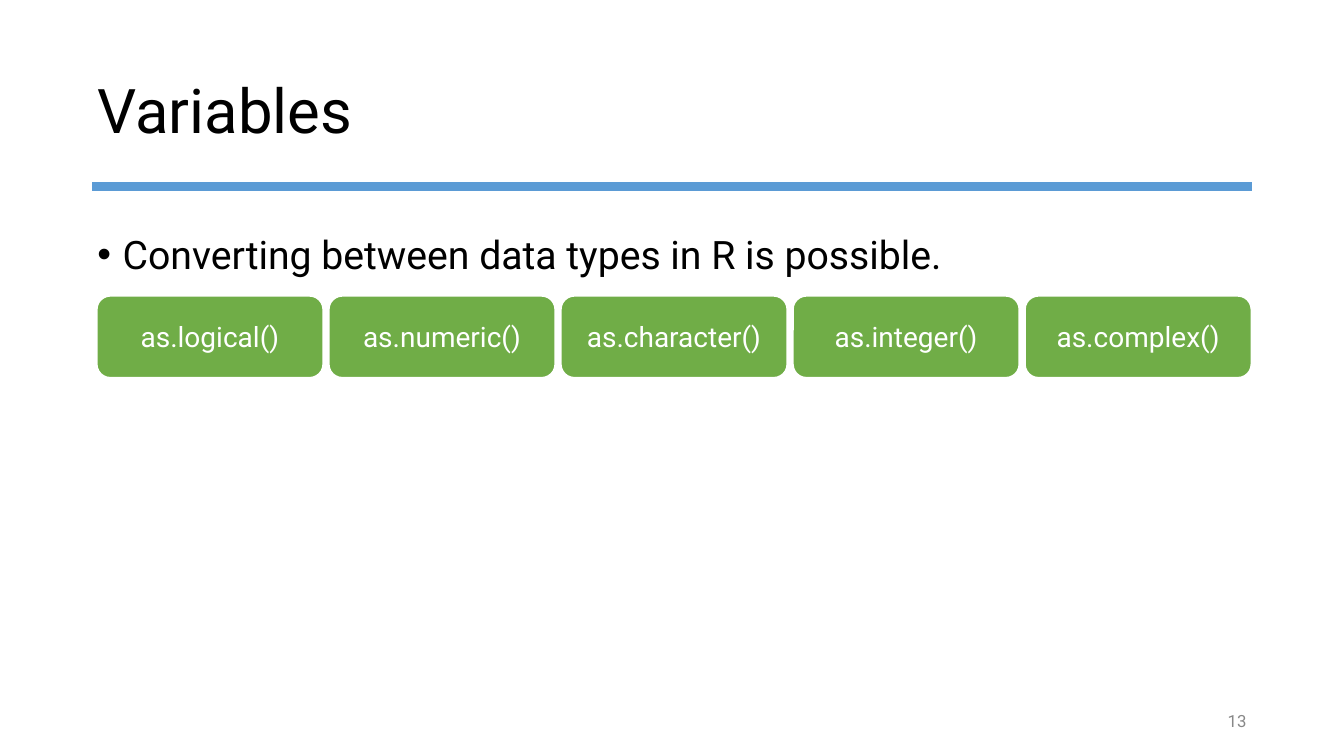
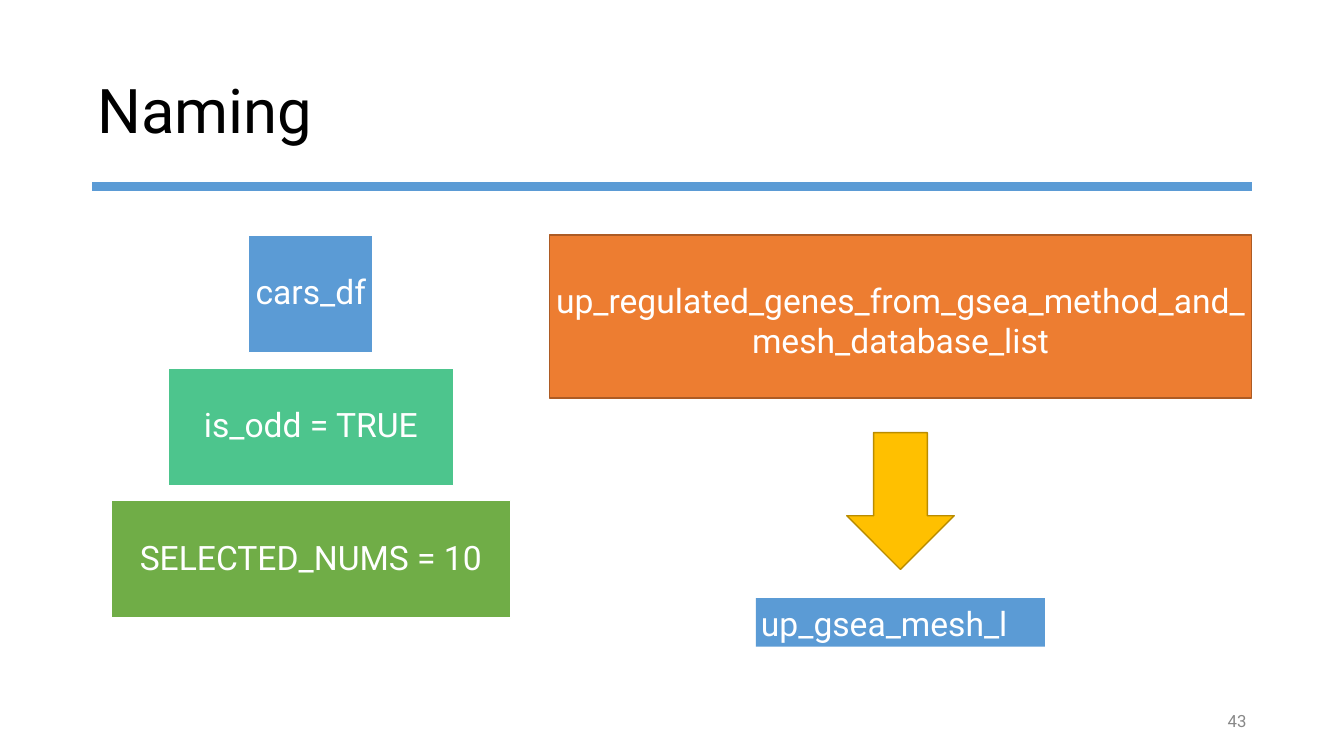
from lxml.etree import SubElement as Sub
from pptx import Presentation as Deck
from pptx.dml.color import RGBColor as Rgb
from pptx.enum.shapes import MSO_CONNECTOR as Link, MSO_SHAPE as Form
from pptx.enum.text import MSO_ANCHOR as Anchor, PP_ALIGN as Align
from pptx.oxml.ns import qn
from pptx.util import Inches, Pt

HUE = {
    "ink": "000000", "paper": "FFFFFF", "grey": "888888",
    "blue": "5B9BD5", "green": "70AD47", "mint": "4DC58D",
    "orange": "ED7D31", "rust": "AD5B24", "gold": "FFC000", "brown": "BA8C00",
}
FONT = "Roboto"

deck = Deck()
deck.slide_width, deck.slide_height = Inches(13.33), Inches(7.5)
COL, ROW = deck.slide_width / 80, deck.slide_height / 45
LEFT, SPAN = 5.5, 69
RIGHT = LEFT + SPAN


def write(box, text, size, hue, align=Align.LEFT, anchor=Anchor.TOP, gap=1.0, top=0.3):
    frame = box.text_frame
    frame.word_wrap = True
    frame.vertical_anchor = anchor
    frame.margin_left = frame.margin_right = int(0.3 * COL)
    frame.margin_top, frame.margin_bottom = int(top * ROW), int(0.3 * ROW)
    para = frame.paragraphs[0]
    para.alignment, para.line_spacing = align, gap
    run = para.add_run()
    run.text = text
    run.font.name, run.font.size = FONT, Pt(size)
    run.font.color.rgb = Rgb.from_string(HUE[hue])
    return para


def place(page, form, x, y, w, h, fill=None, edge=None, thick=1):
    at = [int(x * COL), int(y * ROW), int(w * COL), int(h * ROW)]
    if form is None:
        return page.shapes.add_textbox(*at)
    box = page.shapes.add_shape(form, *at)
    box.shadow.inherit = False
    box.fill.solid()
    box.fill.fore_color.rgb = Rgb.from_string(HUE[fill])
    if edge:
        box.line.color.rgb = Rgb.from_string(HUE[edge])
        box.line.width = Pt(thick)
    else:
        box.line.fill.background()
    return box


pages = []
for title, num in [("Variables", "13"), ("Naming", "43")]:
    page = deck.slides.add_slide(deck.slide_layouts[6])
    head = place(page, None, LEFT, 2.4, SPAN, 8.7)
    write(head, title, 44, "ink", anchor=Anchor.MIDDLE, gap=0.9)
    rule = page.shapes.add_connector(
        Link.STRAIGHT, int(LEFT * COL), int(11.1 * ROW), int(RIGHT * COL), int(11.1 * ROW))
    rule.line.color.rgb = Rgb.from_string(HUE["blue"])
    rule.line.width = Pt(6)
    Sub(rule.line._get_or_add_ln().getparent(), qn("a:effectLst"))
    foot = place(page, None, RIGHT - 1.8, 42, 1.8, 1.75)
    write(foot, num, 12, "grey", Align.RIGHT, Anchor.MIDDLE)
    foot.text_frame.word_wrap = False
    pages.append(page)
types, names = pages

body = place(types, None, LEFT, 12, SPAN, 28.5)
para = write(body, "Converting between data types in R is possible.", 28, "ink", gap=1.5)
props = para._p.get_or_add_pPr()
props.set("marL", str(Inches(0.25)))
props.set("indent", str(-Inches(0.25)))
Sub(props, qn("a:buFont"), typeface="Arial")
Sub(props, qn("a:buChar"), char="•")

calls = ["logical", "numeric", "character", "integer", "complex"]
wide, start = 13.5, 5.75
step = (RIGHT - wide - start) / (len(calls) - 1)
for i, call in enumerate(calls):
    box = place(types, Form.ROUNDED_RECTANGLE, start + i * step, 17.6, wide, 4.9,
                "green", "paper", 1.5)
    write(box, f"as.{call}()", 20, "paper", Align.CENTER, Anchor.MIDDLE)

mid = 18.5
for i, (text, wide, hue) in enumerate([
    ("cars_df", 7.4, "blue"),
    ("is_odd = TRUE", 17, "mint"),
    ("SELECTED_NUMS = 10", 23.8, "green"),
]):
    box = place(names, Form.RECTANGLE, mid - wide / 2, 14 + 7.9 * i, wide, 7, hue, "paper")
    write(box, text, 24, "paper", Align.CENTER, Anchor.MIDDLE, 0.9)

wide = 41.8
mid = RIGHT - wide / 2
long = place(names, Form.RECTANGLE, mid - wide / 2, 14, wide, 9.7, "orange", "rust")
write(long, "up_regulated_genes_from_gsea_method_and_mesh_database_list",
      24, "paper", Align.CENTER, top=2.65)
place(names, Form.DOWN_ARROW, mid - 3.2, 25.75, 6.4, 8.15, "gold", "brown")
short = place(names, Form.RECTANGLE, mid - 8.6, 35.6, 17.2, 2.9, "blue")
write(short, "up_gsea_mesh_l", 24, "paper")

deck.save("out.pptx")
